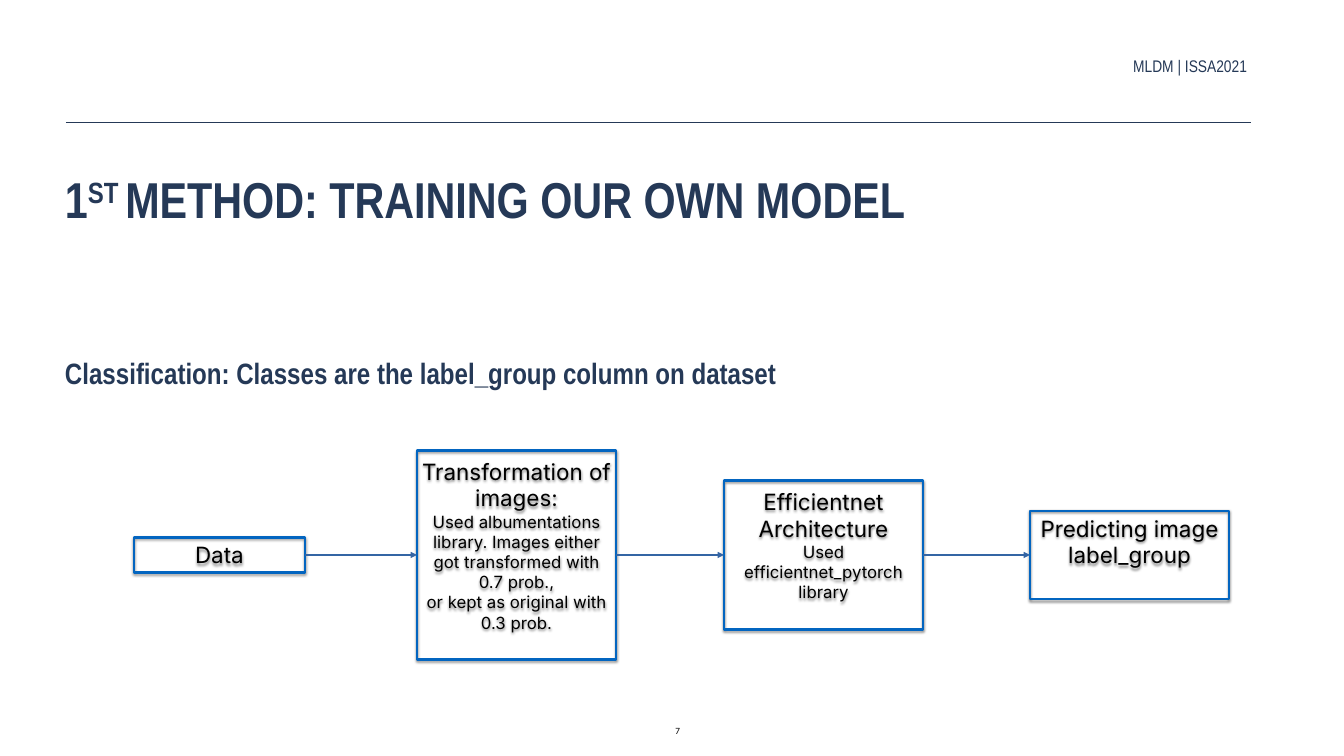
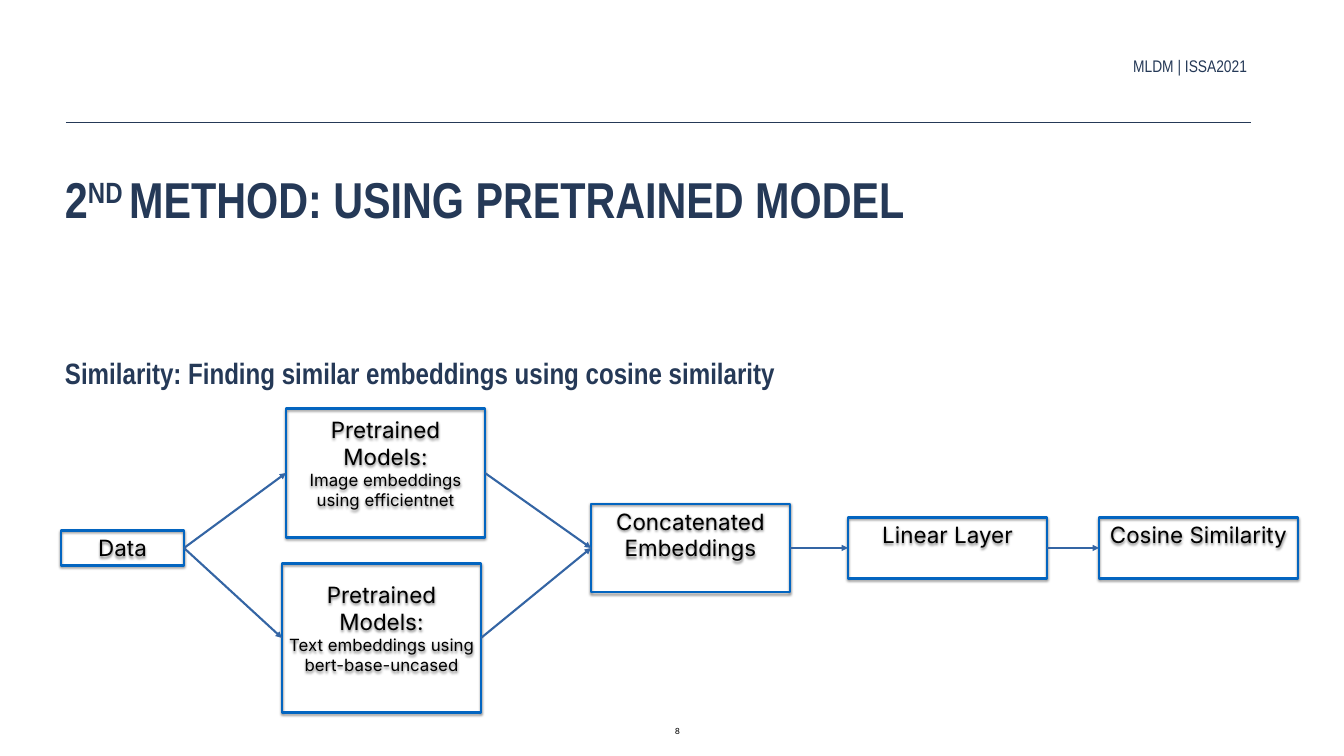
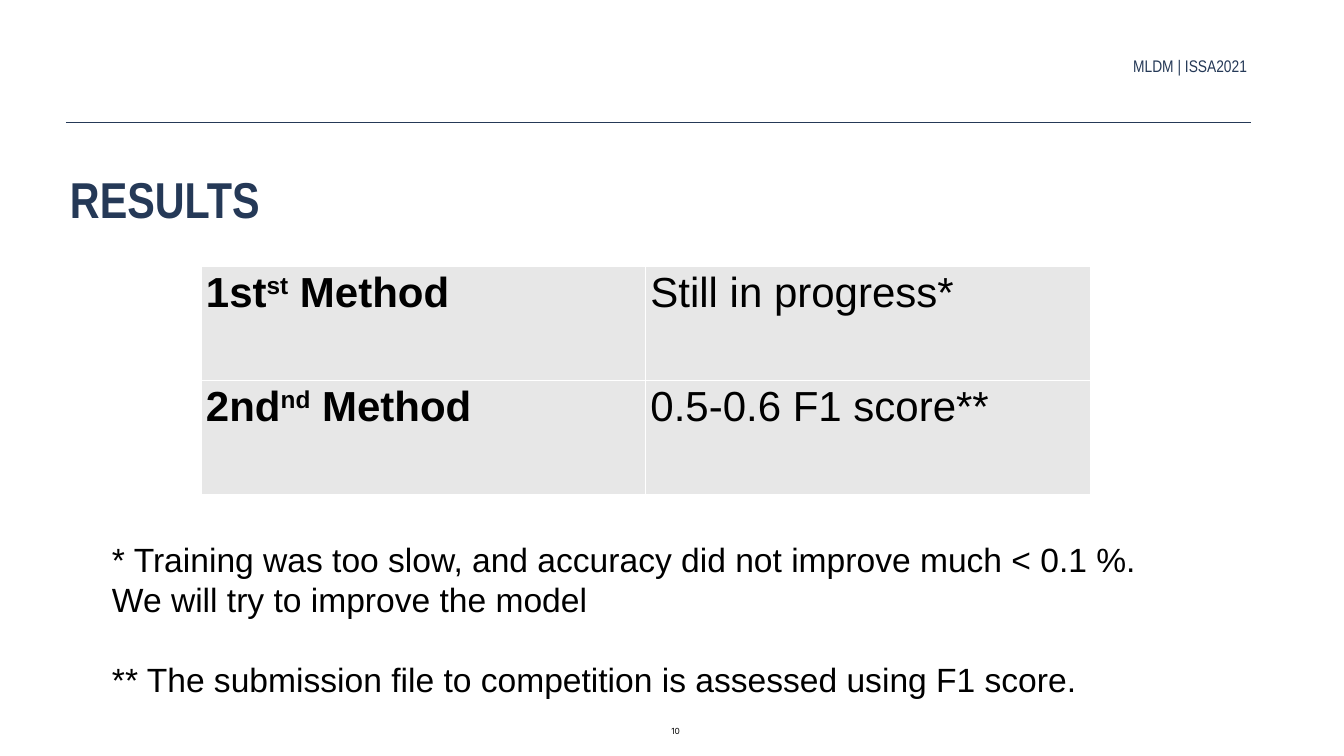
import pptx
import pptx.dml.color
import pptx.enum.shapes
import pptx.enum.text
import pptx.oxml
import pptx.oxml.ns
import pptx.util

COLORS = {
    "navy": "253957",
    "black": "000000",
    "white": "FFFFFF",
    "border": "0365C0",
    "arrow": "3465A4",
    "cell": "E7E7E7",
}
FORMATS = {
    "title": {"size": 72, "name": "Arial Narrow", "color": "navy", "bold": True},
    "subtitle": {"size": 42, "name": "Arial Narrow", "color": "navy", "bold": True},
    "header": {"size": 24, "name": "Arial Narrow", "color": "navy"},
    "number": {"size": 12, "name": "Inter", "color": "black"},
    "step": {"size": 32, "name": "Inter", "color": "black"},
    "detail": {"size": 24, "name": "Inter", "color": "black"},
    "method": {"size": 60, "name": "Arial", "color": "black", "bold": True},
    "result": {"size": 60, "name": "Arial", "color": "black"},
    "note": {"size": 48, "name": "Arial", "color": "black"},
}
HEADER = "MLDM | ISSA2021"
STEP_WIDTH = 199
LINE_SPACE = {"step": 27, "detail": 20}

FLOWS = [
    {
        "number": "7",
        "title": ["1", "^ST ", "METHOD: TRAINING OUR OWN MODEL"],
        "subtitle": "Classification: Classes are the label_group column on dataset",
        "steps": {
            "data": (134, 555, 171, 35, "Data", []),
            "transform": (417, 555, STEP_WIDTH, 209, "Transformation of images:", [
                "Used albumentations library. Images either got transformed with 0.7 prob.,",
                "or kept as original with 0.3 prob.",
            ]),
            "network": (724, 555, STEP_WIDTH, 149, "Efficientnet Architecture",
                        ["Used efficientnet_pytorch library"]),
            "predict": (1030, 555, STEP_WIDTH, 88, "Predicting image label_group", []),
        },
        "arrows": [("data", "transform"), ("transform", "network"), ("network", "predict")],
    },
    {
        "number": "8",
        "title": ["2", "^ND ", "METHOD: USING PRETRAINED MODEL"],
        "subtitle": "Similarity: Finding similar embeddings using cosine similarity",
        "steps": {
            "data": (61, 548, 123, 35, "Data", []),
            "image": (286, 473, STEP_WIDTH, 129, "Pretrained Models:",
                      ["Image embeddings using efficientnet"]),
            "concat": (591, 548, STEP_WIDTH, 88, "Concatenated Embeddings", []),
            "linear": (848, 548, STEP_WIDTH, 61, "Linear Layer", []),
            "text": (282, 638, STEP_WIDTH, 149, "Pretrained Models:",
                     ["Text embeddings using bert-base-uncased"]),
            "cosine": (1099, 548, STEP_WIDTH, 61, "Cosine Similarity", []),
        },
        "arrows": [("data", "image"), ("image", "concat"), ("data", "text"),
                   ("text", "concat"), ("concat", "linear"), ("linear", "cosine")],
    },
]
RESULTS = [
    (["1st", "^st", " Method"], ["Still in progress*"]),
    (["2nd", "^nd", " Method"], ["0.5-0.6 F1 score**"]),
]
NOTES = [
    "* Training was too slow, and accuracy did not improve much < 0.1 %. We will try to improve the model",
    "** The submission file to competition is assessed using F1 score.",
]

ALIGN = pptx.enum.text.PP_ALIGN
ANCHOR = pptx.enum.text.MSO_ANCHOR
NAMESPACE = pptx.oxml.ns.nsdecls("a")
SHADOW = (
    f'<a:outerShdw {NAMESPACE} blurRad="50800" dist="25400" dir="5400000" rotWithShape="0">'
    f'<a:srgbClr val="{COLORS["black"]}"><a:alpha val="50000"/></a:srgbClr></a:outerShdw>'
)


def px(value):
    return round(value * 914400 / 50.4)


def color(name):
    return pptx.dml.color.RGBColor.from_string(COLORS[name])


def write(para, parts, style, align=ALIGN.LEFT):
    para.alignment = align
    for part in parts:
        span = para.add_run()
        span.text = part.removeprefix("^")
        for key, value in FORMATS[style].items():
            if key == "color":
                span.font.color.rgb = color(value)
            else:
                setattr(span.font, key, pptx.util.Pt(value) if key == "size" else value)
        if part.startswith("^"):
            span._r.get_or_add_rPr().set("baseline", "30000")


def set_frame(frame, anchor, margins):
    frame.word_wrap = True
    frame.vertical_anchor = anchor
    for side, value in zip(("left", "top", "right", "bottom"), margins):
        setattr(frame, "margin_" + side, px(value))


def add_text(page, place, parts, style, anchor=ANCHOR.TOP, align=ALIGN.LEFT, margins=(4, 4, 4, 4)):
    box = page.shapes.add_textbox(*map(px, place))
    set_frame(box.text_frame, anchor, margins)
    write(box.text_frame.paragraphs[0], parts, style, align)
    return box.text_frame


def add_line(page, start, end, tone, width):
    line = page.shapes.add_connector(
        pptx.enum.shapes.MSO_CONNECTOR.STRAIGHT, *map(px, start + end))
    line.line.color.rgb = color(tone)
    line.line.width = pptx.util.Pt(width)
    line._element.spPr.append(pptx.oxml.parse_xml(f"<a:effectLst {NAMESPACE}/>"))
    return line


def add_page(deck, title, number, title_left=61):
    page = deck.slides.add_slide(deck.slide_layouts[6])
    add_text(page, (title_left, 164, 1185, 128), title, "title")
    add_line(page, (66, 122), (1251, 122), "navy", 1)
    add_text(page, (625, 52, 626, 28), [HEADER], "header", ANCHOR.MIDDLE, ALIGN.RIGHT)
    add_text(page, (658, 717, 27, 28), [number], "number", ANCHOR.MIDDLE, ALIGN.RIGHT, (5, 3, 5, 3))
    return page


def add_step(page, left, axis, width, height, heading, details):
    box = page.shapes.add_shape(
        pptx.enum.shapes.MSO_SHAPE.RECTANGLE,
        px(left), px(axis - height / 2), px(width), px(height))
    box.fill.background()
    box.line.color.rgb = color("border")
    box.line.width = pptx.util.Pt(3)
    box.shadow.inherit = False
    effects = box._element.spPr.find(pptx.oxml.ns.qn("a:effectLst"))
    effects.append(pptx.oxml.parse_xml(SHADOW))
    space = 0 if heading == "Data" else LINE_SPACE["detail" if details else "step"]
    frame = box.text_frame
    set_frame(frame, ANCHOR.MIDDLE, (4, 4, 4, 4 + space))
    write(frame.paragraphs[0], [heading], "step", ALIGN.CENTER)
    for detail in details:
        write(frame.add_paragraph(), [detail], "detail", ALIGN.CENTER)
    return box


def add_flow(deck, flow):
    page = add_page(deck, flow["title"], flow["number"])
    add_text(page, (61, 321, 886, 73), [flow["subtitle"]], "subtitle", ANCHOR.BOTTOM)
    boxes = {name: add_step(page, *step) for name, step in flow["steps"].items()}
    for source, target in flow["arrows"]:
        arrow = add_line(page, (0, 0), (0, 0), "arrow", 3)
        arrow.begin_connect(boxes[source], 3)
        arrow.end_connect(boxes[target], 1)
        arrow.line._get_or_add_ln().append(
            pptx.oxml.parse_xml(f'<a:tailEnd {NAMESPACE} type="triangle"/>'))


def fill_cell(cell, parts, style):
    set_frame(cell.text_frame, ANCHOR.TOP, (5, 3, 5, 3))
    for side, value in (("left", 5), ("top", 3), ("right", 5), ("bottom", 3)):
        setattr(cell, "margin_" + side, px(value))
    write(cell.text_frame.paragraphs[0], parts, style)
    properties = cell._tc.get_or_add_tcPr()
    for side in ("lnL", "lnR", "lnT", "lnB"):
        properties.append(pptx.oxml.parse_xml(
            f'<a:{side} {NAMESPACE} w="12700"><a:solidFill>'
            f'<a:srgbClr val="{COLORS["white"]}"/></a:solidFill></a:{side}>'))
    cell.fill.solid()
    cell.fill.fore_color.rgb = color("cell")


def add_results(deck):
    page = add_page(deck, ["RESULTS"], "10", 66)
    table = page.shapes.add_table(len(RESULTS), 2, *map(px, (201, 266, 889, 228))).table
    table.first_row = table.horz_banding = False
    for row, texts in enumerate(RESULTS):
        for column, style in enumerate(("method", "result")):
            fill_cell(table.cell(row, column), texts[column], style)
    frame = add_text(page, (107, 536, 1063, 163), [NOTES[0]], "note", margins=(5, 3, 5, 3))
    para = frame.add_paragraph()
    para.space_before = pptx.util.Pt(56)
    write(para, [NOTES[1]], "note")


def main():
    deck = pptx.Presentation()
    deck.slide_width, deck.slide_height = px(1344), px(756)
    for flow in FLOWS:
        add_flow(deck, flow)
    add_results(deck)
    deck.save("out.pptx")


if __name__ == "__main__":
    main()
